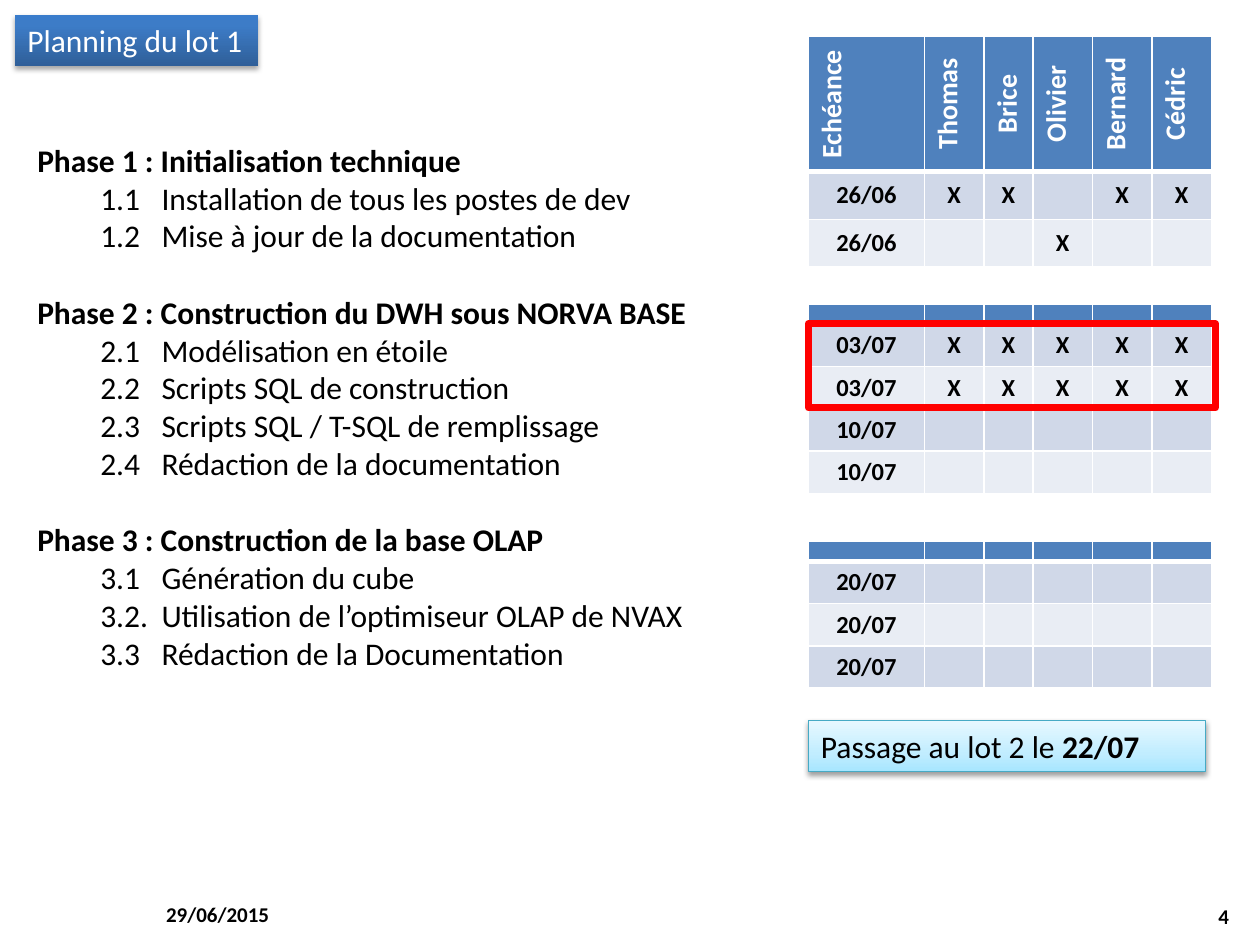
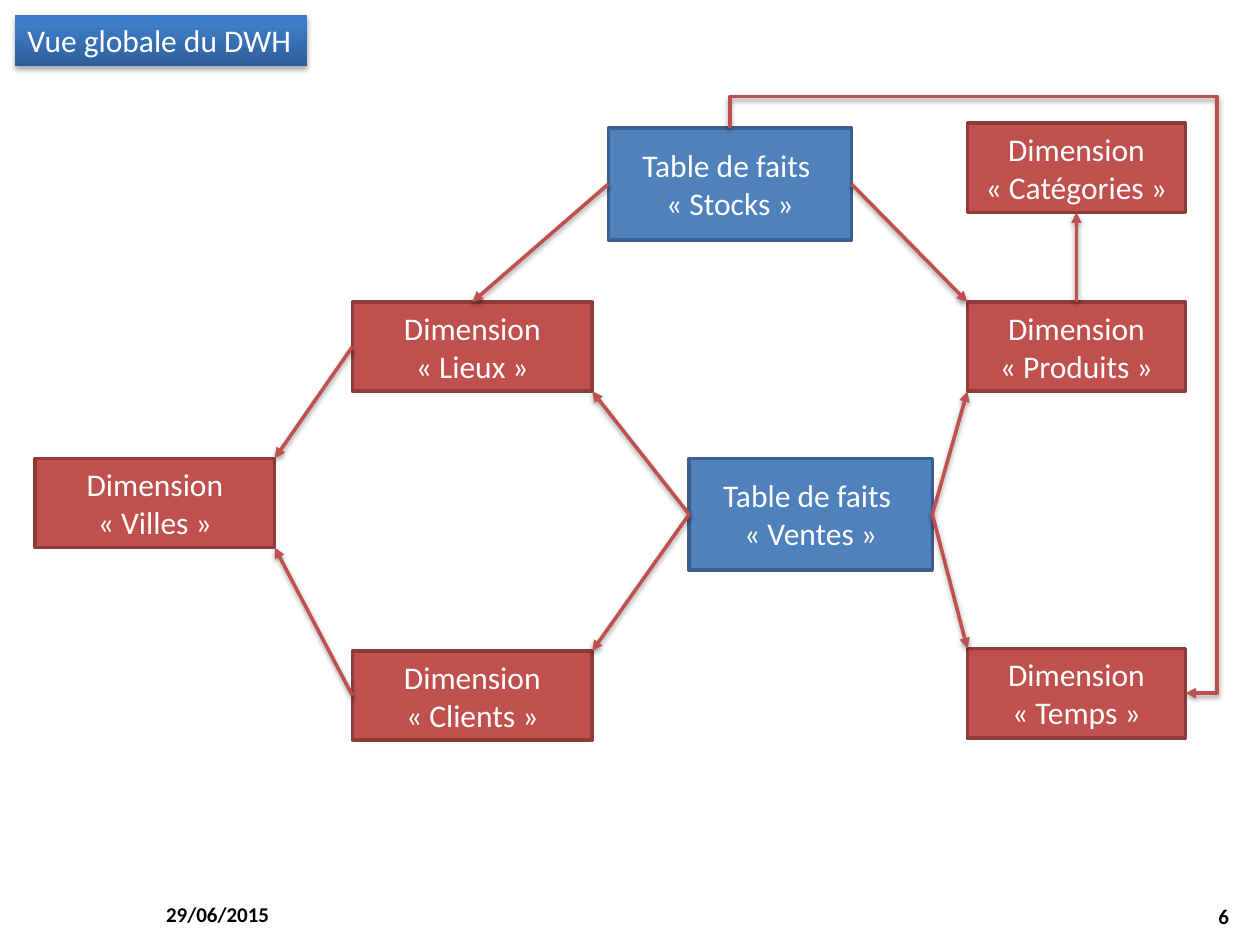
from lxml.etree import SubElement
from pptx import Presentation
from pptx.dml.color import RGBColor
from pptx.enum.shapes import MSO_CONNECTOR, MSO_SHAPE
from pptx.enum.text import MSO_ANCHOR, PP_ALIGN
from pptx.oxml.ns import qn
from pptx.util import Pt

FONT = "Calibri"
BLACK = RGBColor(0x00, 0x00, 0x00)
WHITE = RGBColor(0xFF, 0xFF, 0xFF)
RED = RGBColor(0xFF, 0x00, 0x00)
BLUE = RGBColor(0x4F, 0x81, 0xBD)
BLUE_EDGE = RGBColor(0x3A, 0x5F, 0x8C)
BRICK = RGBColor(0xC0, 0x50, 0x4D)
BRICK_EDGE = RGBColor(0x8E, 0x3B, 0x39)
AQUA_EDGE = RGBColor(0x46, 0xAA, 0xC5)
BANDS = [RGBColor(0xD0, 0xD8, 0xE8), RGBColor(0xE9, 0xED, 0xF4)]
TITLE_STOPS = [(0, "2F5F99"), (80, "3D7CC7"), (100, "3A7CCB")]
AQUA_STOPS = [(0, "A7E6FF"), (35, "C1EDFF"), (100, "E7F8FF")]

TITLE_AT = (8.6, 8.6)
BAR_HEIGHT = 29
DATE = "29/06/2015"
COLUMNS = [66.3, 34, 28, 34, 34, 34]
MEMBERS = ["Echéance", "Thomas", "Brice", "Olivier", "Bernard", "Cédric"]


# ---- shared helpers ----
def set_font(p, size, color=BLACK, bold=False, align=PP_ALIGN.LEFT):
    p.alignment = align
    p.font.name, p.font.size, p.font.bold = FONT, Pt(size), bold
    p.font.color.rgb = color


def add_shadow(sp, alpha, dist):
    spPr = sp._element.spPr
    effects = spPr.find(qn("a:effectLst"))
    if effects is None:
        effects = SubElement(spPr, qn("a:effectLst"))
    shadow = SubElement(effects, qn("a:outerShdw"), blurRad=str(Pt(3.1)),
                        dist=str(Pt(dist)), dir="5400000", rotWithShape="0")
    color = SubElement(shadow, qn("a:srgbClr"), val="000000")
    SubElement(color, qn("a:alpha"), val=str(alpha * 1000))


def add_box(slide, box, fill=None, edge=None, weight=2):
    sp = slide.shapes.add_shape(MSO_SHAPE.RECTANGLE, *map(Pt, box))
    sp.shadow.inherit = False
    if fill is None:
        sp.fill.background()
    else:
        sp.fill.solid()
        sp.fill.fore_color.rgb = fill
    if edge is None:
        sp.line.fill.background()
    else:
        sp.line.color.rgb, sp.line.width = edge, Pt(weight)
    return sp


def add_gradient_bar(slide, box, stops, edge=None):
    sp = add_box(slide, box, edge=edge, weight=0.75)
    sp.fill.gradient()
    sp.fill.gradient_angle = 90
    stop_list = sp._element.spPr.find(".//" + qn("a:gsLst"))
    stop_list.clear()
    for pos, color in stops:
        gs = SubElement(stop_list, qn("a:gs"), pos=str(pos * 1000))
        SubElement(gs, qn("a:srgbClr"), val=color)
    sp.text_frame.vertical_anchor = MSO_ANCHOR.TOP
    return sp


def add_footer_text(slide, left, top, text, align):
    tf = slide.shapes.add_textbox(Pt(left), Pt(top), Pt(168), Pt(28.8)).text_frame
    tf.word_wrap = True
    tf.vertical_anchor = MSO_ANCHOR.MIDDLE
    tf.text = text
    set_font(tf.paragraphs[0], 12, bold=True, align=align)


def new_slide(prs, title, title_width, number):
    slide = prs.slides.add_slide(prs.slide_layouts[6])
    add_footer_text(slide, 87.8, 508, DATE, PP_ALIGN.LEFT)
    add_footer_text(slide, 541.4, 509, number, PP_ALIGN.RIGHT)
    sp = add_gradient_bar(slide, (*TITLE_AT, title_width, BAR_HEIGHT), TITLE_STOPS)
    add_shadow(sp, 35, 1.8)
    tf = sp.text_frame
    tf.word_wrap = False
    tf.text = title
    set_font(tf.paragraphs[0], 18, WHITE)
    return slide


# ---- planning slide ----
def add_phases(slide, box, phases):
    tf = slide.shapes.add_textbox(*map(Pt, box)).text_frame
    tf.word_wrap = True
    for i, (heading, tasks) in enumerate(phases):
        p = tf.add_paragraph() if i else tf.paragraphs[0]
        p.text = heading
        set_font(p, 18, bold=True)
        p.space_before = Pt(22 if i else 0)
        for number, task in tasks:
            p = tf.add_paragraph()
            p.text = f"{number}\t{task}"
            p.level = 1
            set_font(p, 18)
            pPr = p._p.get_or_add_pPr()
            pPr.set("marL", str(Pt(71)))
            pPr.set("indent", str(Pt(-35)))


def fill_cell(cell, text, fill, size, color=BLACK, align=PP_ALIGN.CENTER):
    cell.fill.solid()
    cell.fill.fore_color.rgb = fill
    cell.vertical_anchor = MSO_ANCHOR.MIDDLE
    p = cell.text_frame.paragraphs[0]
    p.text = text
    set_font(p, size, color, True, align)
    if not text:  # keeps an empty cell from stretching its row
        SubElement(p._p, qn("a:endParaRPr"), sz=str(size * 100))


def underline_cell(cell):
    """Thick white border below a header cell."""
    tcPr = cell._tc.get_or_add_tcPr()
    border = SubElement(tcPr, qn("a:lnB"), w=str(Pt(3)))
    SubElement(SubElement(border, qn("a:solidFill")), qn("a:srgbClr"), val="FFFFFF")
    tcPr.insert(0, border)


def add_schedule(slide, left, top, heights, rows, header=None):
    """Each row is a date and one mark per member, '-' for none."""
    table = slide.shapes.add_table(len(rows) + 1, len(COLUMNS), Pt(left), Pt(top),
                                   Pt(sum(COLUMNS)), Pt(sum(heights))).table
    for column, width in zip(table.columns, COLUMNS):
        column.width = Pt(width)
    for row, height in zip(table.rows, heights):
        row.height = Pt(height)
    for c in range(len(COLUMNS)):
        cell = table.cell(0, c)
        if header:
            fill_cell(cell, header[c], BLUE, 16, WHITE,
                      PP_ALIGN.CENTER if c else PP_ALIGN.LEFT)
            cell._tc.get_or_add_tcPr().set("vert", "vert270")
        else:
            cell.margin_top = cell.margin_bottom = 0
            fill_cell(cell, "", BLUE, 8)
        underline_cell(cell)
    for r, (date, marks) in enumerate(rows, 1):
        for c, text in enumerate([date, *marks.replace("-", " ")]):
            fill_cell(table.cell(r, c), text.strip(), BANDS[(r - 1) % 2], 14)


def add_next_lot(slide, box):
    sp = add_gradient_bar(slide, box, AQUA_STOPS, AQUA_EDGE)
    add_shadow(sp, 38, 1.6)
    p = sp.text_frame.paragraphs[0]
    set_font(p, 18)
    p.add_run().text = "Passage au lot 2 le "
    r = p.add_run()
    r.text, r.font.bold = "22/07", True
    for r in p.runs:
        r.font.color.rgb = BLACK


def planning_slide(prs):
    slide = new_slide(prs, "Planning du lot 1", 139, "4")
    add_phases(slide, (14.2, 77, 469.4, 312.5), [
        ("Phase 1 : Initialisation technique", [
            ("1.1", "Installation de tous les postes de dev"),
            ("1.2", "Mise à jour de la documentation")]),
        ("Phase 2 : Construction du DWH sous NORVA BASE", [
            ("2.1", "Modélisation en étoile"),
            ("2.2", "Scripts SQL de construction"),
            ("2.3", "Scripts SQL / T-SQL de remplissage"),
            ("2.4", "Rédaction de la documentation")]),
        ("Phase 3 : Construction de la base OLAP", [
            ("3.1", "Génération du cube"),
            ("3.2.", "Utilisation de l’optimiseur OLAP de NVAX"),
            ("3.3", "Rédaction de la Documentation")])])
    left = 462
    add_schedule(slide, left, 20.9, [77, 27.6, 27.2],
                 [("26/06", "XX-XX"), ("26/06", "--X--")], MEMBERS)
    add_schedule(slide, left, 173.7, [11.5] + [24.2] * 4,
                 [("03/07", "XXXXX")] * 2 + [("10/07", "-----")] * 2)
    add_schedule(slide, left, 309.2, [11.5] + [24.2] * 3, [("20/07", "-----")] * 3)
    add_next_lot(slide, (left, 411.8, 226.8, BAR_HEIGHT))
    # Frame around the current tasks
    add_box(slide, (left, 185, 232.6, 48.2), edge=RED, weight=4)


# ---- warehouse slide ----
FACT, DIM, SIDE_DIM = (139, 64), (137, 51), (124.6, 51)
TABLES = {  # name: left, top, size
    "Ventes": (373.8, 206.7, FACT),
    "Stocks": (327.6, 18, FACT),
    "Villes": (0, 206.7, DIM),
    "Lieux": (181.4, 117.4, DIM),
    "Clients": (181.4, 316.8, DIM),
    "Catégories": (532.8, 15.2, SIDE_DIM),
    "Produits": (532.8, 117.4, SIDE_DIM),
    "Temps": (532.8, 315.4, SIDE_DIM),
}
TOP, LEFT, BOTTOM, RIGHT = (0.5, 0), (0, 0.5), (0.5, 1), (1, 0.5)
TOP_LEFT, TOP_RIGHT, BOTTOM_LEFT, BOTTOM_RIGHT = (0, 0), (1, 0), (0, 1), (1, 1)
LINKS = [
    ("Ventes", LEFT, "Lieux", BOTTOM_RIGHT),
    ("Lieux", LEFT, "Villes", TOP_RIGHT),
    ("Ventes", LEFT, "Clients", TOP_RIGHT),
    ("Clients", LEFT, "Villes", BOTTOM_RIGHT),
    ("Ventes", RIGHT, "Produits", BOTTOM_LEFT),
    ("Ventes", RIGHT, "Temps", TOP_LEFT),
    ("Produits", TOP, "Catégories", BOTTOM),
    ("Stocks", LEFT, "Lieux", TOP),
    ("Stocks", RIGHT, "Produits", TOP_LEFT),
]


def style_arrow(line):
    line.line.color.rgb, line.line.width = BRICK, Pt(2)
    SubElement(line.line._get_or_add_ln(), qn("a:tailEnd"), type="triangle")
    add_shadow(line, 38, 1.6)


def add_detour(slide, start, end, gap):
    """Arrow that leaves upwards, passes on the right and comes back to end."""
    (x1, y1), (x2, y2) = start, end
    dx, dy = x2 - x1, y2 - y1
    left, top = (x1 + x2 - dy) / 2, (y1 + y2 - dx) / 2  # box before its rotation
    line = slide.shapes.add_connector(MSO_CONNECTOR.ELBOW, Pt(left), Pt(top),
                                      Pt(left + dy), Pt(top + dx))
    xfrm = line._element.spPr.find(qn("a:xfrm"))
    xfrm.set("rot", "16200000")
    xfrm.set("flipH", "1")
    geom = line._element.spPr.find(qn("a:prstGeom"))
    geom.set("prst", "bentConnector4")
    guides = geom.find(qn("a:avLst"))
    for name, ratio in (("adj1", -gap / dy), ("adj2", 1 + gap / dx)):
        SubElement(guides, qn("a:gd"), name=name, fmla=f"val {round(ratio * 100000)}")
    style_arrow(line)


def add_schema(slide, left, top):
    def anchor(name, side):
        x, y, (w, h) = TABLES[name]
        return left + x + w * side[0], top + y + h * side[1]

    # Fact and dimension tables
    for name, (x, y, size) in TABLES.items():
        is_fact = size is FACT
        sp = add_box(slide, (left + x, top + y, *size),
                     BLUE if is_fact else BRICK, BLUE_EDGE if is_fact else BRICK_EDGE)
        tf = sp.text_frame
        tf.word_wrap = True
        tf.vertical_anchor = MSO_ANCHOR.MIDDLE
        label = f"«\u00a0{name}\u00a0»"
        tf.text = f"Table de faits \n{label}" if is_fact else f"Dimension {label}"
        for p in tf.paragraphs:
            set_font(p, 18, WHITE, align=PP_ALIGN.CENTER)
    # Links
    for source, out, target, into in LINKS:
        ends = anchor(source, out) + anchor(target, into)
        style_arrow(slide.shapes.add_connector(MSO_CONNECTOR.STRAIGHT, *map(Pt, ends)))
    add_detour(slide, anchor("Stocks", TOP), anchor("Temps", RIGHT), 18)


def warehouse_slide(prs):
    slide = new_slide(prs, "Vue globale du DWH", 167, "6")
    add_schema(slide, 20, 55.2)


prs = Presentation()
prs.slide_width, prs.slide_height = Pt(720), Pt(540)
planning_slide(prs)
warehouse_slide(prs)
prs.save("out.pptx")
